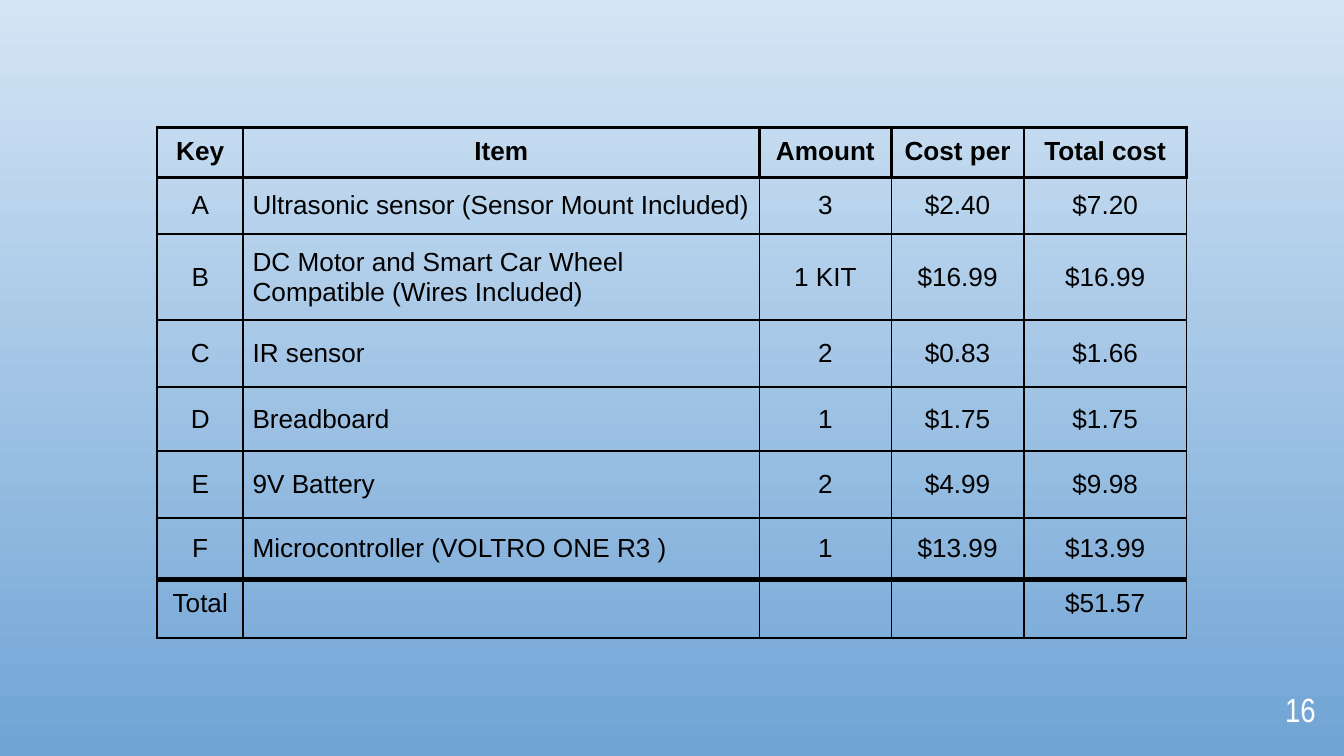
import dataclasses

import pptx
import pptx.dml.color
import pptx.enum.text
import pptx.oxml
import pptx.oxml.ns
import pptx.util

Pt = pptx.util.Pt
ALIGN = pptx.enum.text.PP_ALIGN
ANCHOR = pptx.enum.text.MSO_ANCHOR


@dataclasses.dataclass(frozen=True)
class Theme:
    sky_top: str = "D4E5F5"
    sky_bottom: str = "70A4D5"
    ink: str = "000000"
    number_ink: str = "FFFFFF"
    table_font: str = "Arial"
    number_font: str = "Arial Narrow"
    table_size: float = 14
    number_size: float = 18
    thin: float = 1
    header_line: float = 1.5
    total_line: float = 3


THEME = Theme()
CELL_MARGIN = 5
COLUMN_WIDTHS = [46.08, 276.48, 70.85, 70.85, 87.3]
ROW_HEIGHTS = [26.8, 30.5, 46.1, 35.9, 34.3, 35.9, 32.7, 31.6]
PARTS = [
    ["Key", "Item", "Amount", "Cost per", "Total cost"],
    ["A", "Ultrasonic sensor (Sensor Mount Included)", "3", "$2.40", "$7.20"],
    ["B", "DC Motor and Smart Car Wheel Compatible (Wires Included)", "1 KIT", "$16.99", "$16.99"],
    ["C", "IR sensor", "2", "$0.83", "$1.66"],
    ["D", "Breadboard", "1", "$1.75", "$1.75"],
    ["E", "9V Battery", "2", "$4.99", "$9.98"],
    ["F", "Microcontroller (VOLTRO ONE R3 )", "1", "$13.99", "$13.99"],
    ["Total", "", "", "", "$51.57"],
]


def color(value):
    return pptx.dml.color.RGBColor.from_string(value)


def apply(target, values):
    for name, value in values.items():
        setattr(target, name, value)


def paint_background(slide):
    fill = slide.background.fill
    fill.gradient()
    fill.gradient_angle = 270
    for stop, value in zip(fill.gradient_stops, (THEME.sky_top, THEME.sky_bottom)):
        stop.color.rgb = color(value)


def write(paragraph, text, ink, paragraph_format, font_format):
    apply(paragraph, paragraph_format)
    run = paragraph.add_run()
    run.text = text
    apply(run.font, font_format)
    run.font.color.rgb = color(ink)


def add_page_number(slide, text):
    frame = slide.shapes.add_textbox(Pt(661.7), Pt(365.8), Pt(43.2), Pt(25.2)).text_frame
    apply(frame, {"word_wrap": True, "vertical_anchor": ANCHOR.BOTTOM,
                  "margin_left": 0, "margin_right": 0, "margin_top": 0, "margin_bottom": 0})
    write(frame.paragraphs[0], text, THEME.number_ink,
          {"alignment": ALIGN.RIGHT, "line_spacing": 0.9},
          {"name": THEME.number_font, "size": Pt(THEME.number_size)})


def set_borders(cell, top, bottom, side):
    properties = cell._tc.get_or_add_tcPr()
    widths = {"lnL": side, "lnR": side, "lnT": top, "lnB": bottom}
    for index, (tag, width) in enumerate(widths.items()):
        properties.insert(index, pptx.oxml.parse_xml(
            f'<a:{tag} {pptx.oxml.ns.nsdecls("a")} w="{Pt(width)}"><a:solidFill>'
            f'<a:srgbClr val="{THEME.ink}"/></a:solidFill></a:{tag}>'))


def format_cell(cell, text, row, column):
    last = len(PARTS) - 1
    header = row == 0
    apply(cell, {"margin_left": Pt(CELL_MARGIN), "margin_right": Pt(CELL_MARGIN),
                 "margin_top": Pt(CELL_MARGIN), "margin_bottom": Pt(CELL_MARGIN),
                 "vertical_anchor": ANCHOR.TOP if row in (0, last) else ANCHOR.MIDDLE})
    cell.fill.background()
    special = {0: THEME.header_line, 1: THEME.header_line, last: THEME.total_line}
    set_borders(cell, special.get(row, THEME.thin),
                {0: THEME.header_line, last - 1: THEME.total_line}.get(row, THEME.thin),
                THEME.header_line if header else THEME.thin)
    if text:
        is_item = column == 1 and not header
        write(cell.text_frame.paragraphs[0], text, THEME.ink,
              {"alignment": ALIGN.LEFT if is_item else ALIGN.CENTER},
              {"name": THEME.table_font, "size": Pt(THEME.table_size), "bold": header})


def add_parts_table(slide):
    table = slide.shapes.add_table(
        len(PARTS), len(COLUMN_WIDTHS), Pt(84.24), Pt(68.2),
        Pt(sum(COLUMN_WIDTHS)), Pt(sum(ROW_HEIGHTS))).table
    apply(table, {"first_row": False, "horz_banding": False})
    for column, width in zip(table.columns, COLUMN_WIDTHS):
        column.width = Pt(width)
    for row, height in zip(table.rows, ROW_HEIGHTS):
        row.height = Pt(height)
    for row, texts in enumerate(PARTS):
        for column, text in enumerate(texts):
            format_cell(table.cell(row, column), text, row, column)


def main():
    presentation = pptx.Presentation()
    apply(presentation, {"slide_width": Pt(720), "slide_height": Pt(405)})
    slide = presentation.slides.add_slide(presentation.slide_layouts[6])
    paint_background(slide)
    add_page_number(slide, "16")
    add_parts_table(slide)
    presentation.save("out.pptx")


if __name__ == "__main__":
    main()
